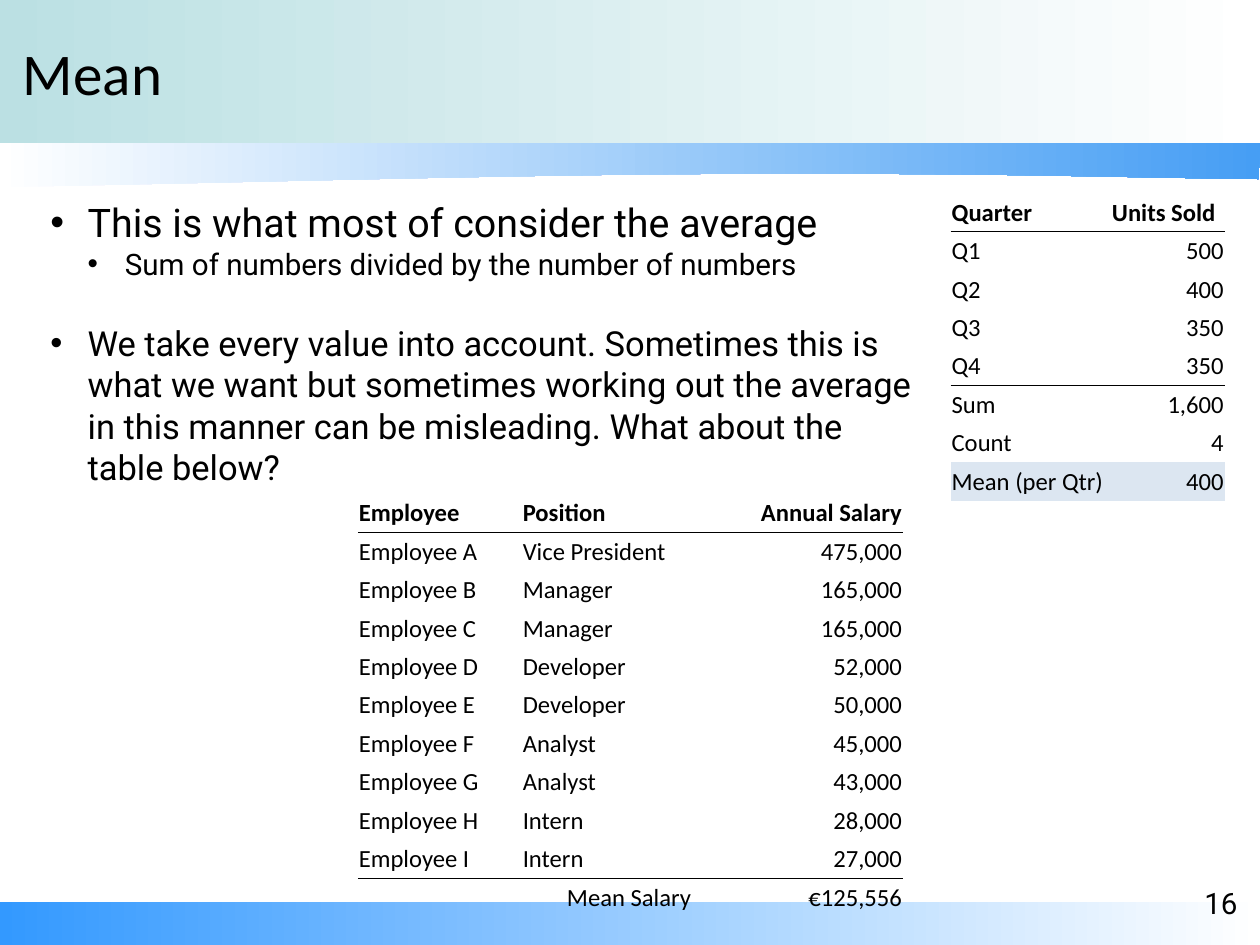
from lxml import etree
from pptx import Presentation
from pptx import util as u
from pptx.dml.color import RGBColor
from pptx.enum import shapes, text
from pptx.oxml import ns

Inches, Pt = u.Inches, u.Pt
BLACK = RGBColor(0x00, 0x00, 0x00)
WHITE = RGBColor(0xFF, 0xFF, 0xFF)
TEAL = RGBColor(0xBB, 0xE0, 0xE3)
SKY = RGBColor(0x46, 0x9E, 0xF4)
BLUE = RGBColor(0x33, 0x99, 0xFF)
PALE = RGBColor(0xDC, 0xE6, 0xF1)
LEFT, CENTER, RIGHT = text.PP_ALIGN.LEFT, text.PP_ALIGN.CENTER, text.PP_ALIGN.RIGHT

# Content
WIDTH, HEIGHT = 14.22, 10.66
TITLE, PAGE = "Mean", "16"
BULLETS = [  # text, level, size, space before
    ("This is what most of consider the average", 0, 32, 0),
    ("Sum of numbers divided by the number of numbers", 1, 24, 0),
    ("We take every value into account. Sometimes this is what we want but "
     "sometimes working out the average in this manner can be misleading. "
     "What about the table below?", 0, 28, 33),
]
SALES = dict(
    at=(10.73, 2.18), cols=(1.81, 1.28), ruled=(0, 4), shaded=7,
    rows=[("Quarter", "Units Sold"), ("Q1", "500"), ("Q2", "400"),
          ("Q3", "350"), ("Q4", "350"), ("Sum", "1,600"), ("Count", "4"),
          ("Mean (per Qtr)", "400")],
    align={(0, 1): LEFT})
SALARIES = dict(
    at=(4.04, 5.57), cols=(1.85, 1.92, 2.38), ruled=(0, 9), shaded=None,
    rows=[("Employee", "Position", "Annual Salary"),
          ("Employee A", "Vice President", "475,000"),
          ("Employee B", "Manager", "165,000"),
          ("Employee C", "Manager", "165,000"),
          ("Employee D", "Developer", "52,000"),
          ("Employee E", "Developer", "50,000"),
          ("Employee F", "Analyst", "45,000"),
          ("Employee G", "Analyst", "43,000"),
          ("Employee H", "Intern", "28,000"),
          ("Employee I", "Intern", "27,000"),
          ("", "Mean Salary", "€125,556")],
    align={(10, 1): RIGHT})
ROW_HEIGHT = 0.43
NO_STYLE = "{2D5ABB26-0587-4C30-8999-92F81FD0307C}"
# Ribbon's lower edge: start, then curves of two handles and an end
RIBBON_START = (-0.01, 2.11)
RIBBON_CURVES = [((2.93, 2.06), (6.01, 1.96), (8.81, 1.96)),
                 ((11.61, 1.96), (12.41, 2.0), (14.2, 2.02)),
                 ((14.21, 1.88), (14.22, 1.75), (14.22, 1.61))]
RIBBON_CORNER = (-0.03, 1.61)

prs = Presentation()
prs.slide_width, prs.slide_height = Inches(WIDTH), Inches(HEIGHT)
s = prs.slides.add_slide(prs.slide_layouts[6])


def add_run(p, words, **fmt):
    r = p.add_run()
    r.text = words
    r.font.color.rgb = BLACK
    for name, value in fmt.items():
        setattr(r.font, name, value)


def add_box(x, y, w, h, inset_x, inset_y, anchor=text.MSO_ANCHOR.TOP):
    tf = s.shapes.add_textbox(*map(Inches, (x, y, w, h))).text_frame
    fmt = dict(word_wrap=True, vertical_anchor=anchor,
               margin_left=Inches(inset_x), margin_right=Inches(inset_x),
               margin_top=Inches(inset_y), margin_bottom=Inches(inset_y))
    for name, value in fmt.items():
        setattr(tf, name, value)
    return tf


def add_xml(parent, tag, **attrs):
    return etree.SubElement(parent, ns.qn(tag), **attrs)


def set_bullet(p, level):
    pPr = p._p.get_or_add_pPr()
    pPr.set("marL", str(Inches(0.42 * (level + 1))))
    pPr.set("indent", str(Inches(-0.42)))
    add_xml(add_xml(pPr, "a:buClr"), "a:srgbClr", val=str(BLACK))
    add_xml(pPr, "a:buFont", typeface="Arial")
    add_xml(pPr, "a:buChar", char="•")


def paint(sp, *colors):
    sp.shadow.inherit = False
    sp.line.fill.background()
    sp.fill.gradient()
    sp.fill.gradient_angle = 0
    for stop, color in zip(sp.fill.gradient_stops, colors):
        stop.color.rgb = color


def curve_points(start, curves, steps=24):
    for a, b, end in curves:
        for i in range(1, steps + 1):
            t = i / steps
            weights = ((1 - t) ** 3, 3 * t * (1 - t) ** 2, 3 * t * t * (1 - t), t ** 3)
            yield tuple(Inches(sum(w * pt[k] for w, pt in zip(weights, (start, a, b, end))))
                        for k in (0, 1))
        start = end


def add_table(at, cols, rows, ruled, shaded, align):
    size = (sum(cols), ROW_HEIGHT * len(rows))
    table = s.shapes.add_table(len(rows), len(cols), *map(Inches, at + size)).table
    table.first_row = table.horz_banding = False
    table._tbl.tblPr[0].text = NO_STYLE
    for col, width in zip(table.columns, cols):
        col.width = Inches(width)
    for i, row in enumerate(rows):
        table.rows[i].height = Inches(ROW_HEIGHT)
        for j, words in enumerate(row):
            cell = table.cell(i, j)
            cell.vertical_anchor = text.MSO_ANCHOR.BOTTOM
            cell.margin_left = cell.margin_right = Inches(0.01)
            cell.margin_top = cell.margin_bottom = Inches(0.05)
            if i in ruled:
                ln = add_xml(cell._tc.get_or_add_tcPr(), "a:lnB", w=str(Pt(0.45)))
                add_xml(add_xml(ln, "a:solidFill"), "a:srgbClr", val=str(BLACK))
            if i == shaded:
                cell.fill.solid()
                cell.fill.fore_color.rgb = PALE
            else:
                cell.fill.background()
            p = cell.text_frame.paragraphs[0]
            p.alignment = align.get((i, j), RIGHT if j == len(cols) - 1 else LEFT)
            if words:
                add_run(p, words, name="Calibri", size=Pt(20), bold=i == 0)


# Bullets
tf = add_box(0.51, 2.18, 9.98, 3.78, 0.06, 0.06)
for i, (words, level, size, before) in enumerate(BULLETS):
    p = tf.add_paragraph() if i else tf.paragraphs[0]
    set_bullet(p, level)
    p.level = level
    if before:
        p.space_before = Pt(before)
    add_run(p, words, name="Roboto", size=Pt(size))

# Footer and header bands
for top, height, color in ((10.17, 0.5, BLUE), (0, 1.61, TEAL)):
    band = s.shapes.add_shape(shapes.MSO_SHAPE.RECTANGLE,
                              *map(Inches, (0, top, WIDTH, height)))
    paint(band, color, WHITE)

# Ribbon under the header
fb = s.shapes.build_freeform(*map(Inches, RIBBON_START))
fb.add_line_segments([*curve_points(RIBBON_START, RIBBON_CURVES),
                      tuple(map(Inches, RIBBON_CORNER))], close=True)
paint(fb.convert_to_shape(), WHITE, SKY)

# Title and page number
tf = add_box(0.26, 0, 11.66, 1.61, 0, 0, text.MSO_ANCHOR.MIDDLE)
add_run(tf.paragraphs[0], TITLE, name="Calibri", size=Pt(48))
tf = add_box(13.36, 9.93, 0.84, 0.56, 0.1, 0.05)
tf.paragraphs[0].alignment = CENTER
add_run(tf.paragraphs[0], PAGE, name="Roboto", size=Pt(24))

# Tables
for table in (SALES, SALARIES):
    add_table(**table)

prs.save("out.pptx")
